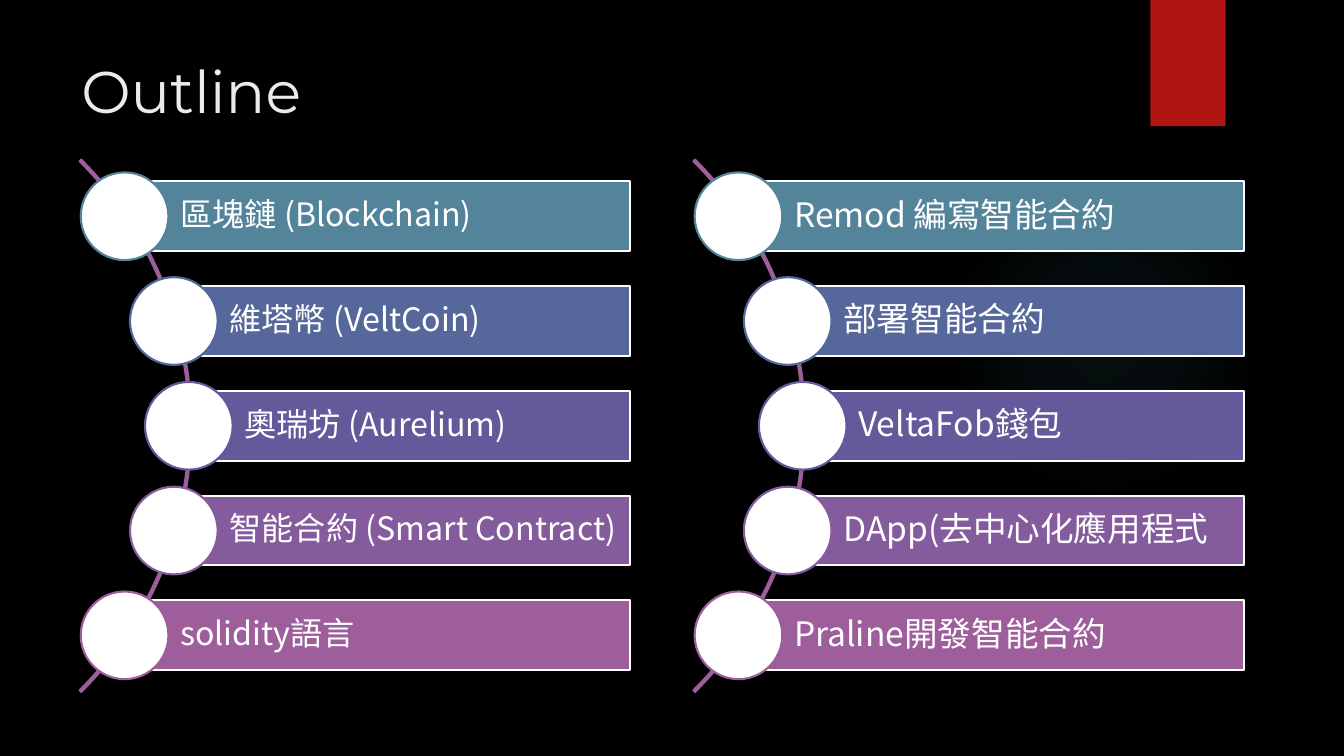
from dataclasses import dataclass
from math import sqrt

from lxml.etree import SubElement
from pptx import Presentation
from pptx.dml.color import RGBColor
from pptx.enum.shapes import MSO_SHAPE as Preset
from pptx.enum.text import MSO_ANCHOR as Anchor, PP_ALIGN as Align
from pptx.oxml.ns import qn
from pptx.util import Cm, Pt

TITLE = "Outline"
# Each list: topics, left shift (cm), type size (pt), text inset (cm)
LISTS = [
    (["區塊鏈 (Blockchain)", "維塔幣 (VeltCoin)", "奧瑞坊 (Aurelium)",
      "智能合約 (Smart Contract)", "solidity語言"], 0, 23, 0.16),
    (["Remod 編寫智能合約", "部署智能合約", "VeltaFob錢包",
      "DApp(去中心化應用程式", "Praline開發智能合約"], 15.47, 24, 0.17),
]


@dataclass(frozen=True)
class Theme:
    background: str = "000000"
    white: str = "FFFFFF"
    title: str = "EBEBEB"
    ribbon: str = "B01513"
    glow: str = "50B9C1"
    rows: tuple = ("54849A", "56689B", "65599C", "845B9D", "9E5E9B")
    title_font: str = "Montserrat"
    body_font: str = "Noto Sans CJK SC"
    title_size: int = 42
    line_width: float = 1.5


THEME = Theme()

# Lengths in cm; the circles sit on an arc around (ARC_X, ARC_Y)
ARC_X, ARC_Y = -4.66, 10.73
ARC_SIZE = 18.97
ROW_RADIUS = 9.42
ROW_PITCH = 2.64
BAR_RIGHT, BAR_HEIGHT = 15.88, 1.76
CIRCLE = 2.21
TEXT_INDENT = 1.4


def add_shape(slide, preset, left, top, width, height, fill=None, line=None):
    shape = slide.shapes.add_shape(preset, Cm(left), Cm(top), Cm(width), Cm(height))
    shape.shadow.inherit = False
    if fill:
        shape.fill.solid()
        shape.fill.fore_color.rgb = RGBColor.from_string(fill)
    else:
        shape.fill.background()
    if line:
        shape.line.color.rgb = RGBColor.from_string(line)
        shape.line.width = Pt(THEME.line_width)
    else:
        shape.line.fill.background()
    return shape


def add_run(paragraph, text, font, size, color):
    run = paragraph.add_run()
    run.text = text
    run.font.name = font
    run.font.size = Pt(size)
    run.font.color.rgb = RGBColor.from_string(color)
    SubElement(run.font._element, qn("a:ea"), typeface=font)


def add_glow(slide):
    """Add a soft light that fades from its centre to nothing."""
    glow = add_shape(slide, Preset.OVAL, 23.9, 4.65, 7.82, 7.82)
    properties = glow._element.spPr
    gradient = SubElement(properties, qn("a:gradFill"), rotWithShape="1")
    stops = SubElement(gradient, qn("a:gsLst"))
    for position, alpha in ((0, 7), (36, 6), (69, 0)):
        stop = SubElement(stops, qn("a:gs"), pos=str(position * 1000))
        color = SubElement(stop, qn("a:srgbClr"), val=THEME.glow)
        SubElement(color, qn("a:alpha"), val=str(alpha * 1000))
    path = SubElement(gradient, qn("a:path"), path="circle")
    SubElement(path, qn("a:fillToRect"), l="50000", t="50000", r="50000", b="50000")
    properties.replace(properties.find(qn("a:noFill")), gradient)


def add_title(slide):
    box = slide.shapes.add_textbox(Cm(1.8), Cm(1.27), Cm(26.14), Cm(2.01))
    frame = box.text_frame
    frame.word_wrap = True
    frame.vertical_anchor = Anchor.MIDDLE
    add_run(frame.paragraphs[0], TITLE, THEME.title_font, THEME.title_size, THEME.title)


def add_topic(slide, text, center_x, center_y, right, size, inset, color):
    """Add a labelled bar with a circle over its left end."""
    bar = add_shape(slide, Preset.RECTANGLE, center_x, center_y - BAR_HEIGHT / 2,
                    right - center_x, BAR_HEIGHT, color, THEME.white)
    frame = bar.text_frame
    frame.word_wrap = True
    frame.vertical_anchor = Anchor.MIDDLE
    frame.margin_left = Cm(TEXT_INDENT)
    frame.margin_top = frame.margin_right = frame.margin_bottom = Cm(inset)
    paragraph = frame.paragraphs[0]
    paragraph.alignment = Align.LEFT
    paragraph.line_spacing = 0.9
    add_run(paragraph, text, THEME.body_font, size, THEME.white)
    add_shape(slide, Preset.OVAL, center_x - CIRCLE / 2, center_y - CIRCLE / 2,
              CIRCLE, CIRCLE, THEME.white, color)


def add_topic_list(slide, topics, shift, size, inset):
    arc = add_shape(slide, Preset.BLOCK_ARC, ARC_X + shift - ARC_SIZE / 2,
                    ARC_Y - ARC_SIZE / 2, ARC_SIZE, ARC_SIZE, line=THEME.rows[-1])
    for index, value in enumerate((189, 27, 0.003)):
        arc.adjustments[index] = value
    middle = (len(topics) - 1) / 2
    for row, (text, color) in enumerate(zip(topics, THEME.rows)):
        drop = (row - middle) * ROW_PITCH
        center_x = ARC_X + shift + sqrt(ROW_RADIUS ** 2 - drop ** 2)
        add_topic(slide, text, center_x, ARC_Y + drop, BAR_RIGHT + shift,
                  size, inset, color)


def main():
    presentation = Presentation()
    presentation.slide_width, presentation.slide_height = Cm(33.87), Cm(19.05)
    slide = presentation.slides.add_slide(presentation.slide_layouts[6])
    slide.background.fill.solid()
    slide.background.fill.fore_color.rgb = RGBColor.from_string(THEME.background)
    add_glow(slide)
    add_shape(slide, Preset.RECTANGLE, 28.99, 0, 1.9, 3.18, THEME.ribbon)
    add_title(slide)
    for topic_list in LISTS:
        add_topic_list(slide, *topic_list)
    presentation.save("out.pptx")


if __name__ == "__main__":
    main()
